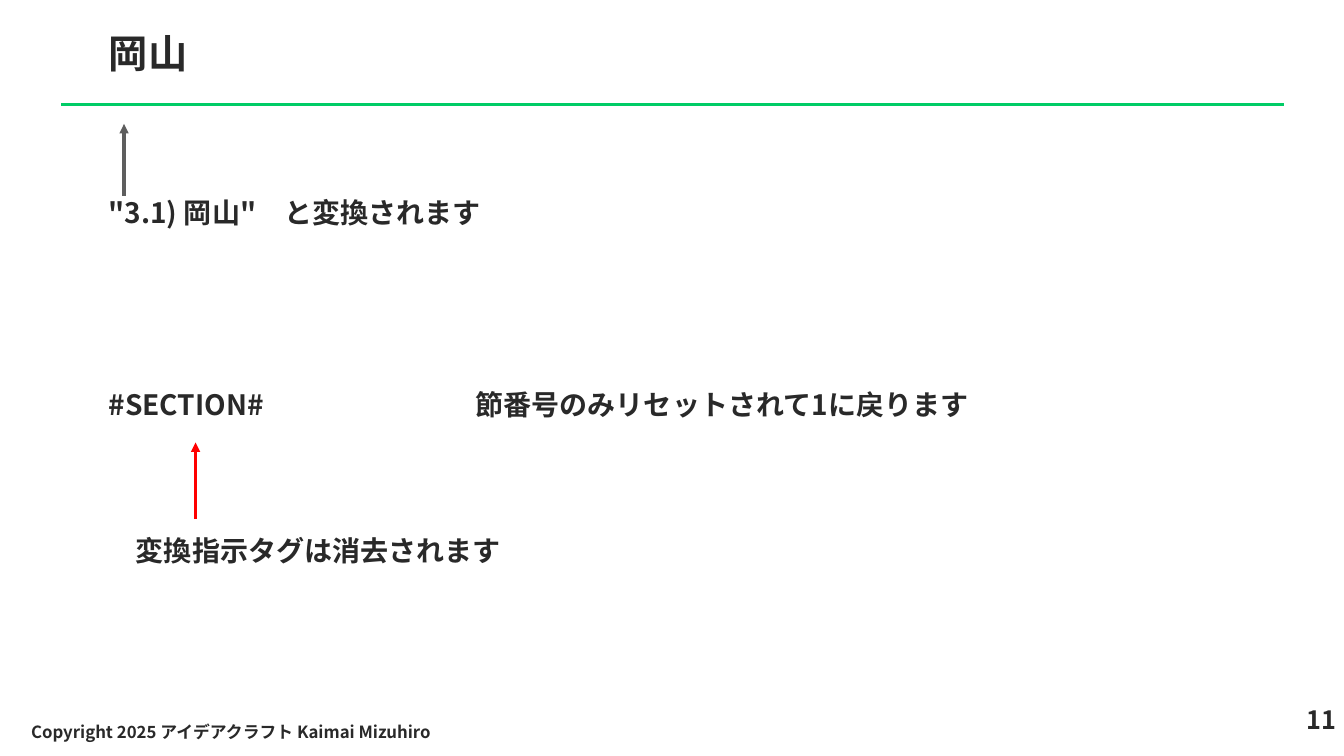
from pptx import Presentation
from pptx.dml.color import RGBColor
from pptx.enum.shapes import MSO_CONNECTOR
from pptx.enum.text import MSO_ANCHOR, PP_ALIGN
from pptx.oxml.ns import qn
from pptx.util import Inches, Pt
from lxml import etree

FONT = "Noto Sans CJK JP"
INK = RGBColor(0x29, 0x29, 0x29)
GREEN = RGBColor(0x00, 0xCC, 0x66)
GREY = RGBColor(0x5E, 0x5E, 0x5E)
RED = RGBColor(0xFF, 0x00, 0x00)
STRAIGHT = MSO_CONNECTOR.STRAIGHT
TOP, MIDDLE = MSO_ANCHOR.TOP, MSO_ANCHOR.MIDDLE
LEFT, RIGHT = PP_ALIGN.LEFT, PP_ALIGN.RIGHT

TITLE_ONLY = 5
MARGIN = 0.98
EXPLANATIONS = [
    (MARGIN, 1.94, 10.47, '"3.1) 岡山"\u3000と変換されます'.replace("\u3000", "　")),
    (MARGIN, 3.85, 10.47, "#SECTION#"),
    (4.62, 3.85, 6.06, "節番号のみリセットされて1に戻ります"),
    (1.25, 5.29, 9.12, "変換指示タグは消去されます"),
]


def write(frame, text, size, align=LEFT, anchor=TOP, spacing=0.85):
    frame.word_wrap = True
    frame.vertical_anchor = anchor
    paragraph = frame.paragraphs[0]
    paragraph.alignment = align
    paragraph.line_spacing = spacing
    run = paragraph.add_run()
    run.text = text
    run.font.color.rgb = INK
    for name, value in {"size": Pt(size), "bold": True, "name": FONT}.items():
        setattr(run.font, name, value)
    east_asian = etree.SubElement(run.font._element, qn("a:ea"))
    east_asian.set("typeface", FONT)


def add_title(slide, text):
    title = slide.shapes.title
    place = {"left": MARGIN, "top": 0.29, "width": 11.98, "height": 0.71}
    for name, value in place.items():
        setattr(title, name, Inches(value))
    write(title.text_frame, text, 28, spacing=0.9)


def add_label(slide, left, top, width, height, text, size, **layout):
    box = slide.shapes.add_textbox(*map(Inches, (left, top, width, height)))
    write(box.text_frame, text, size, **layout)


def add_line(slide, start, end, color, arrow=False):
    line = slide.shapes.add_connector(STRAIGHT, *map(Inches, start + end))
    line.line.color.rgb = color
    line.line.width = Pt(2.25)
    if arrow:
        head = etree.SubElement(line.line._get_or_add_ln(), qn("a:tailEnd"))
        head.set("type", "triangle")
    etree.SubElement(line._element.spPr, qn("a:effectLst"))


def main():
    deck = Presentation()
    deck.slide_width, deck.slide_height = Inches(13.33), Inches(7.5)
    slide = deck.slides.add_slide(deck.slide_layouts[TITLE_ONLY])

    add_line(slide, (0.61, 1.04), (12.73, 1.04), GREEN)
    add_title(slide, "岡山")
    add_label(slide, 11.71, 6.98, 1.64, 0.5, "11", 18, align=RIGHT)
    add_label(slide, 0.21, 7.08, 6.06, 0.4,
              "Copyright 2025 アイデアクラフト Kaimai Mizuhiro", 12, anchor=MIDDLE)

    for left, top, width, text in EXPLANATIONS:
        add_label(slide, left, top, width, 0.44, text, 20)
    add_line(slide, (1.23, 1.94), (1.23, 1.23), GREY, arrow=True)
    add_line(slide, (1.94, 5.15), (1.94, 4.39), RED, arrow=True)

    deck.save("out.pptx")


if __name__ == "__main__":
    main()
